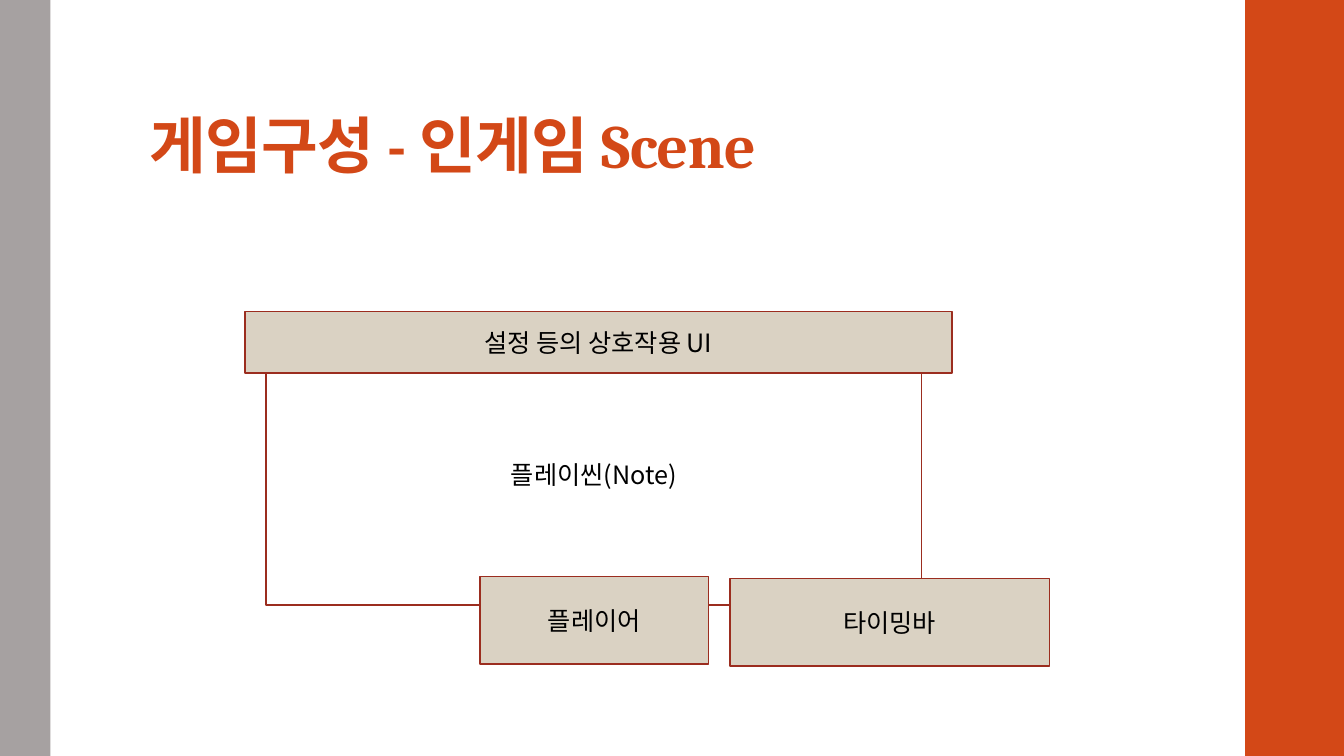
from lxml import etree
from pptx import Presentation
from pptx.dml.color import RGBColor
from pptx.enum.shapes import MSO_SHAPE
from pptx.enum.text import MSO_ANCHOR, PP_ALIGN
from pptx.oxml.ns import qn
from pptx.util import Pt

EMU_PER_PX = 9144  # 100 px to the inch
RECTANGLE = MSO_SHAPE.RECTANGLE
MIDDLE, BOTTOM = MSO_ANCHOR.MIDDLE, MSO_ANCHOR.BOTTOM
CENTER = PP_ALIGN.CENTER

COLORS = {
    "orange": "D34817",
    "gray": "A6A1A1",
    "white": "FFFFFF",
    "beige": "DAD2C3",
    "outline": "9B2D1F",
    "black": "000000",
}
TITLE_FONT = "Cambria"
BODY_FONT = "Noto Sans CJK KR"


def px(length):
    return length * EMU_PER_PX


def rgb(color):
    return RGBColor.from_string(COLORS[color])


def style_text(paragraph, size, font_name, color, bold=False):
    """Format the paragraph's run, with the Korean font for its Hangul."""
    run = paragraph.runs[0]
    run.font.size = Pt(size)
    run.font.name = font_name
    run.font.bold = bold
    run.font.color.rgb = rgb(color)
    properties = run.font._element
    etree.SubElement(properties, qn("a:ea")).set("typeface", BODY_FONT)
    return properties


def add_block(slide, left, top, width, height, fill):
    block = slide.shapes.add_shape(RECTANGLE, px(left), px(top), px(width), px(height))
    block.shadow.inherit = False
    block.fill.solid()
    block.fill.fore_color.rgb = rgb(fill)
    block.line.fill.background()
    return block


def add_scene_part(slide, label, left, top, width, height, fill="beige"):
    part = add_block(slide, left, top, width, height, fill)
    part.line.color.rgb = rgb("outline")
    part.line.width = Pt(1.1)
    frame = part.text_frame
    frame.word_wrap = True
    frame.vertical_anchor = MIDDLE
    frame.text = label
    frame.paragraphs[0].alignment = CENTER
    style_text(frame.paragraphs[0], 18, BODY_FONT, "black")


def add_title(slide, title, left, top, width, height):
    box = slide.shapes.add_textbox(px(left), px(top), px(width), px(height))
    frame = box.text_frame
    frame.word_wrap = True
    frame.vertical_anchor = BOTTOM
    frame.margin_left = frame.margin_right = px(10)
    frame.margin_top, frame.margin_bottom = px(3), px(5)
    frame.text = title
    heading = frame.paragraphs[0]
    heading.line_spacing = 0.9
    properties = style_text(heading, 44, TITLE_FONT, "orange", bold=True)
    properties.set("spc", "-50")


def main():
    presentation = Presentation()
    presentation.slide_width, presentation.slide_height = px(1333), px(750)
    slide = presentation.slides.add_slide(presentation.slide_layouts[6])

    # Side bands
    add_block(slide, 1235, 0, 98, 750, "orange")
    add_block(slide, 0, 0, 50, 750, "gray")

    add_title(slide, "게임구성 - 인게임 Scene", 138, 32, 1060, 153)

    # Play area, then the parts that overlap its edges
    add_scene_part(slide, "플레이씬(Note)", 264, 341, 650, 259, "white")
    add_scene_part(slide, "타이밍바", 724, 574, 317, 87)
    add_scene_part(slide, "플레이어", 476, 572, 227, 87)
    add_scene_part(slide, "설정 등의 상호작용 UI", 243, 309, 701, 61)

    presentation.save("out.pptx")


if __name__ == "__main__":
    main()
